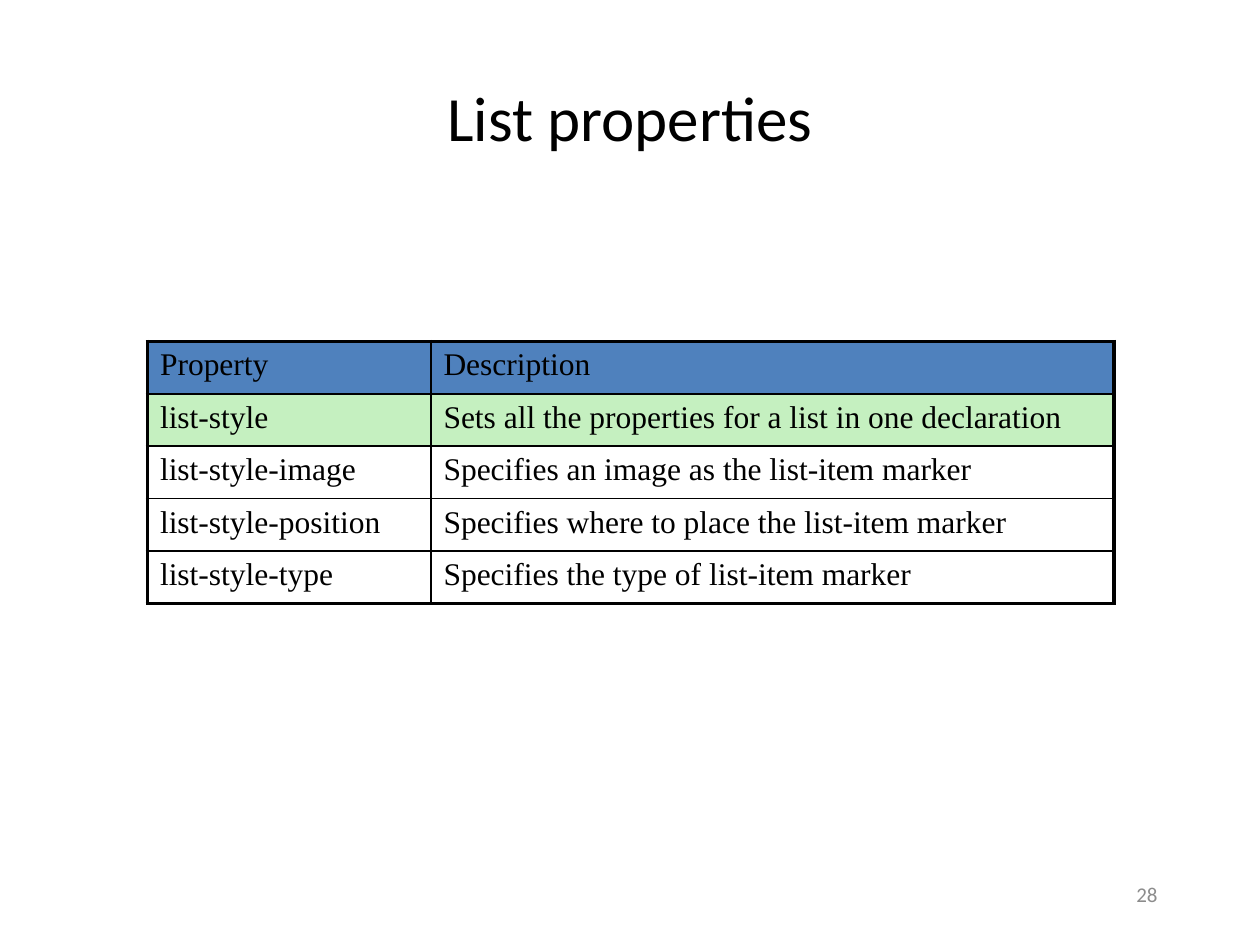
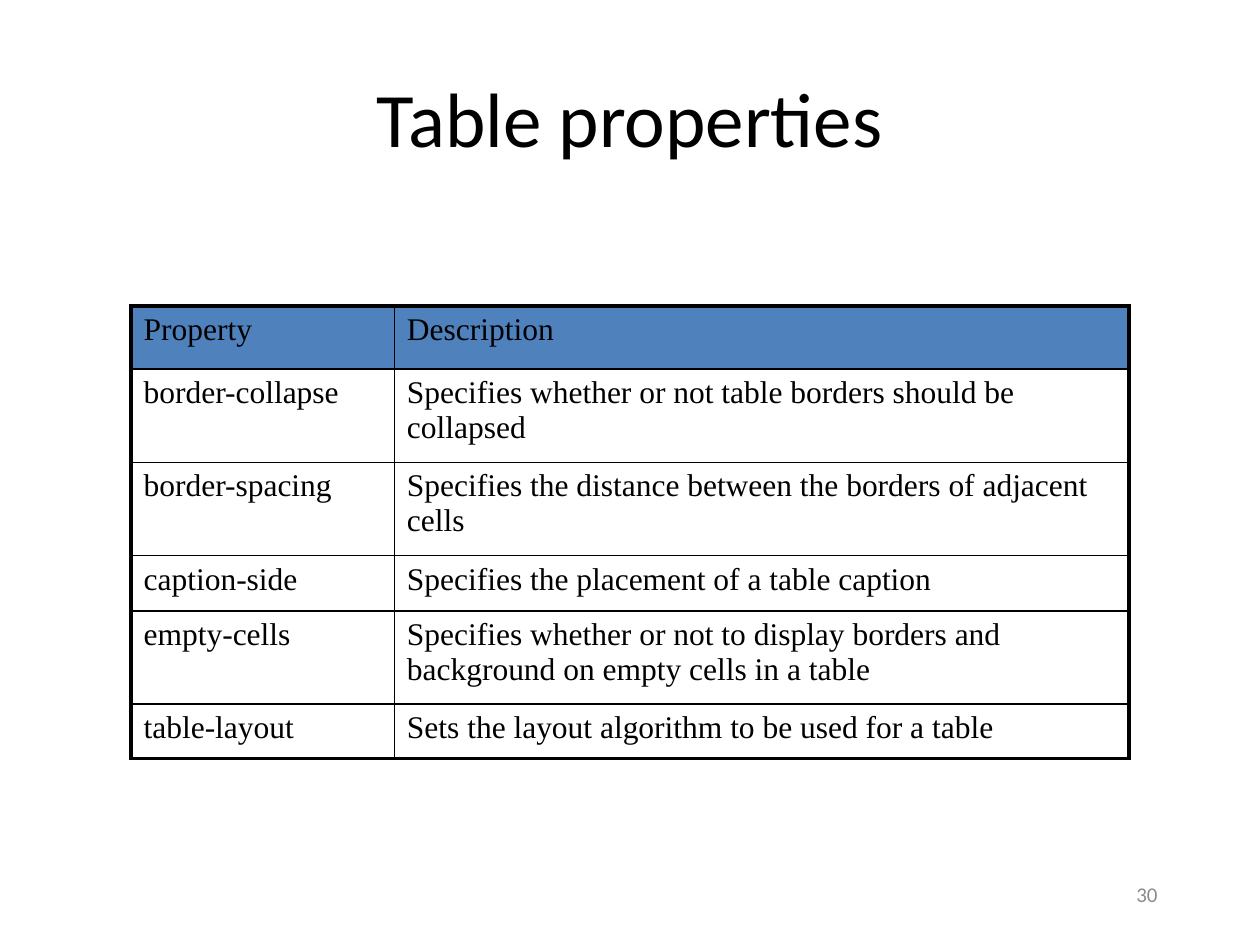
from lxml.etree import SubElement
from pptx import Presentation
from pptx.dml.color import RGBColor
from pptx.enum.text import MSO_ANCHOR, PP_ALIGN
from pptx.oxml.ns import qn
from pptx.util import Inches, Pt

BLACK, GREY = "000000", "8C8C8C"
HEADER_BLUE, HIGHLIGHT_GREEN, WHITE = "4F81BD", "C5F0C0", "FFFFFF"
HEADING_FONT, TABLE_FONT = "Calibri", "Times New Roman"
OUTER_LINE, INNER_LINE = 2.25, 1
TITLE_BOX = (0.5, 0.3, 9, 1.25)
NUMBER_BOX = (8.92, 6.9, 0.58, 0.4)
HEADINGS = ("Property", "Description")

LIST_ROWS = [
    ("list-style", "Sets all the properties for a list in one declaration"),
    ("list-style-image", "Specifies an image as the list-item marker"),
    ("list-style-position", "Specifies where to place the list-item marker"),
    ("list-style-type", "Specifies the type of list-item marker"),
]
TABLE_ROWS = [
    ("border-collapse", "Specifies whether or not table borders should be collapsed"),
    ("border-spacing", "Specifies the distance between the borders of adjacent cells"),
    ("caption-side", "Specifies the placement of a table caption"),
    ("empty-cells", "Specifies whether or not to display borders and background on empty cells in a table"),
    ("table-layout", "Sets the layout algorithm to be used for a table"),
]


def rgb(value):
    return RGBColor.from_string(value)


def style_paragraph(paragraph, font_name, size, color, align=PP_ALIGN.LEFT):
    paragraph.alignment = align
    paragraph.font.name = font_name
    paragraph.font.size = Pt(size)
    paragraph.font.color.rgb = rgb(color)


def add_label(slide, box, text, size, color, align=PP_ALIGN.LEFT):
    frame = slide.shapes.add_textbox(*map(Inches, box)).text_frame
    frame.word_wrap = True
    frame.vertical_anchor = MSO_ANCHOR.MIDDLE
    frame.text = text
    style_paragraph(frame.paragraphs[0], HEADING_FONT, size, color, align)


def set_borders(cell, widths):
    properties = cell._tc.get_or_add_tcPr()
    for position, (side, width) in enumerate(widths.items()):
        line = properties.makeelement(qn(f"a:{side}"), {"w": str(Pt(width))})
        fill = SubElement(line, qn("a:solidFill"))
        SubElement(fill, qn("a:srgbClr"), val=BLACK)
        properties.insert(position, line)


def add_property_table(slide, box, property_width, row_heights, entries, highlighted):
    rows = [HEADINGS, *entries]
    left, top, width, height = box
    table = slide.shapes.add_table(len(rows), len(HEADINGS), *map(Inches, box)).table
    table.columns[0].width = Inches(property_width)
    table.columns[1].width = Inches(width - property_width)
    last = len(rows) - 1
    for r, (texts, row_height) in enumerate(zip(rows, row_heights)):
        table.rows[r].height = Inches(row_height)
        color = HEADER_BLUE if r == 0 else HIGHLIGHT_GREEN if r in highlighted else WHITE
        for c, text in enumerate(texts):
            cell = table.cell(r, c)
            cell.text = text
            style_paragraph(cell.text_frame.paragraphs[0], TABLE_FONT, 18, BLACK)
            cell.fill.solid()
            cell.fill.fore_color.rgb = rgb(color)
            on_edge = {"lnL": c == 0, "lnR": c == 1, "lnT": r == 0, "lnB": r == last}
            set_borders(cell, {side: OUTER_LINE if edge else INNER_LINE
                               for side, edge in on_edge.items()})


def add_property_slide(deck, title, title_size, number, box, property_width,
                       row_heights, entries, highlighted=()):
    slide = deck.slides.add_slide(deck.slide_layouts[6])
    add_label(slide, TITLE_BOX, title, title_size, BLACK, PP_ALIGN.CENTER)
    add_property_table(slide, box, property_width, row_heights, entries, highlighted)
    add_label(slide, NUMBER_BOX, number, 12, GREY)


def main():
    deck = Presentation()
    deck.slide_width, deck.slide_height = Inches(10), Inches(7.5)
    add_property_slide(deck, "List properties", 36, "28", (1.17, 2.71, 7.67, 2.08),
                       2.25, [2.08 / 5] * 5, LIST_ROWS, highlighted=(1,))
    add_property_slide(deck, "Table properties", 44, "30", (1.04, 2.43, 7.92, 3.59),
                       2.09, [0.5, 0.74, 0.74, 0.44, 0.74, 0.43], TABLE_ROWS)
    deck.save("out.pptx")


if __name__ == "__main__":
    main()
